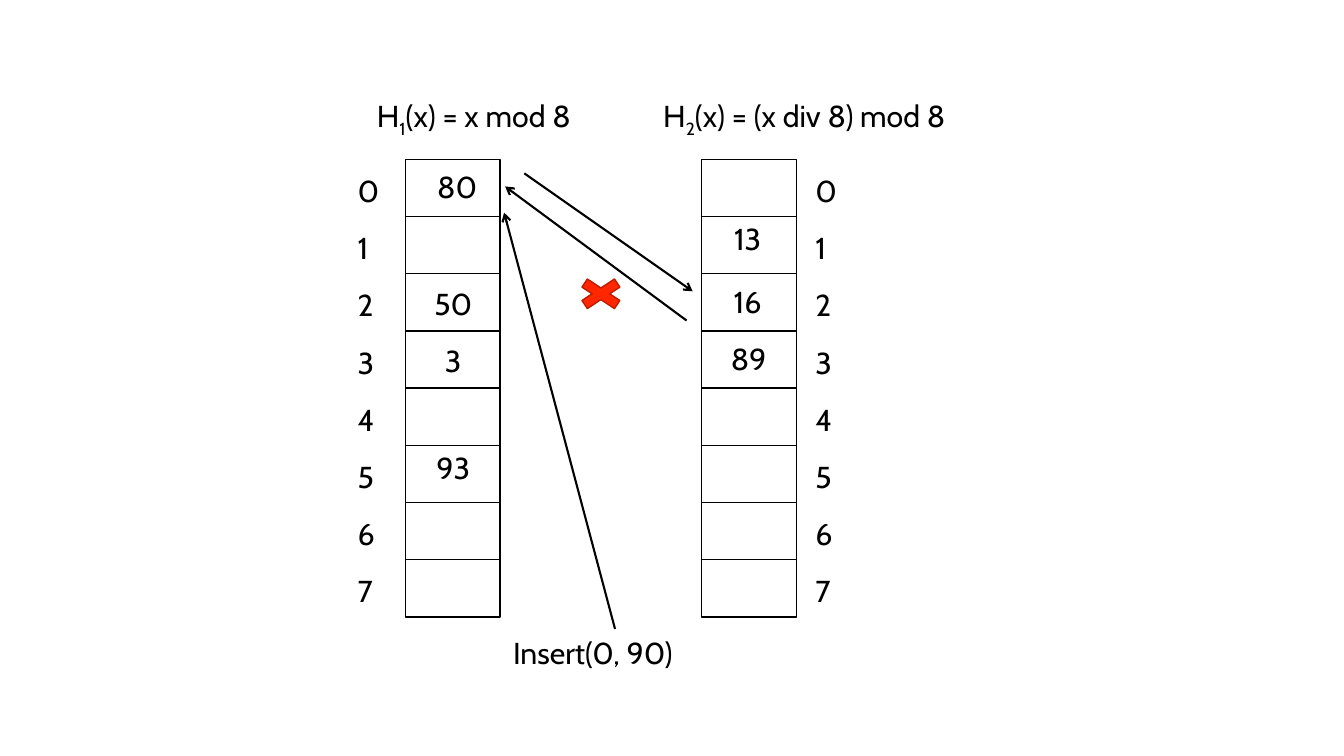
from lxml import etree
from pptx import Presentation
from pptx.dml.color import RGBColor
from pptx.enum.shapes import MSO_CONNECTOR, MSO_SHAPE
from pptx.enum.text import MSO_AUTO_SIZE, PP_ALIGN
from pptx.oxml.ns import qn
from pptx.util import Inches, Pt

BLACK, WHITE = "000000", "FFFFFF"
TOP, ROW_H, ROWS = 1.58, 0.5675, 8
BUCKET_W = 0.94

prs = Presentation()
prs.slide_width, prs.slide_height = Inches(13.33), Inches(7.5)
slide = prs.slides.add_slide(prs.slide_layouts[6])
shapes = slide.shapes


def add_text(text, x, y, w, align=PP_ALIGN.LEFT, size=21.6, font="Cabin", color=BLACK):
    """Add one line of text; a part between underscores is a subscript."""
    tf = shapes.add_textbox(Inches(x), Inches(y), Inches(w), Inches(0.46)).text_frame
    tf.word_wrap = True
    tf.auto_size = MSO_AUTO_SIZE.SHAPE_TO_FIT_TEXT
    p = tf.paragraphs[0]
    p.alignment = align
    for i, part in enumerate(text.split("_")):
        r = p.add_run()
        r.text = part
        r.font.name, r.font.size = font, Pt(size)
        r.font.color.rgb = RGBColor.from_string(color)
        if i % 2:
            r.font._element.set("baseline", "-25000")


def add_line(x1, y1, x2, y2, width=1, arrow=False):
    line = shapes.add_connector(MSO_CONNECTOR.STRAIGHT, Inches(x1), Inches(y1), Inches(x2), Inches(y2))
    line.line.color.rgb = RGBColor.from_string(BLACK)
    line.line.width = Pt(width)
    if arrow:
        etree.SubElement(line.line._get_or_add_ln(), qn("a:tailEnd"), type="arrow")
    etree.SubElement(line._element.spPr, qn("a:effectLst"))


# Hash tables: left edge of the buckets and of their index labels
outlines = []
for table_x, index_x in [(4.02, 3.45), (6.96, 7.99)]:
    sp = shapes.add_shape(MSO_SHAPE.RECTANGLE, Inches(table_x), Inches(TOP),
                          Inches(BUCKET_W), Inches(ROW_H * ROWS))
    outlines.append((sp, WHITE, BLACK))
    for row in range(1, ROWS):
        y = TOP + row * ROW_H
        add_line(table_x, y, table_x + BUCKET_W, y)
    for row in range(ROWS):
        add_text(str(row), index_x, TOP + 0.08 + row * ROW_H, 0.43)

# Hash functions and the insertion
add_text("H_1_(x) = x mod 8", 3.64, 0.92, 2.46)
add_text("H_2_(x) = (x div 8) mod 8", 6.48, 0.92, 3.4)
add_text("Insert(0, 90)", 4.99, 6.24, 2.83)

# Stored keys
for key, x, y in [("80", 4.16, 1.62), ("50", 4.12, 2.78), ("3", 4.12, 3.35), ("93", 4.12, 4.41),
                  ("13", 7.04, 2.14), ("16", 7.04, 2.76), ("89", 7.05, 3.33)]:
    add_text(key, x, y, 0.75, align=PP_ALIGN.CENTER)

# Moves between the tables, the last one rejected
for ends in [(6.1, 6.24, 5, 2.11), (5.2, 1.72, 6.87, 2.89), (6.81, 3.18, 5.01, 1.85)]:
    add_line(*ends, width=1.5, arrow=True)
cross = shapes.add_shape(MSO_SHAPE.MATH_MULTIPLY, Inches(5.65), Inches(2.71), Inches(0.62), Inches(0.41))
outlines.append((cross, "FF2600", "BD1C00"))

for sp, fill, line in outlines:
    sp.shadow.inherit = False
    sp.fill.solid()
    sp.fill.fore_color.rgb = RGBColor.from_string(fill)
    sp.line.color.rgb = RGBColor.from_string(line)
    sp.line.width = Pt(1)

prs.save("out.pptx")
